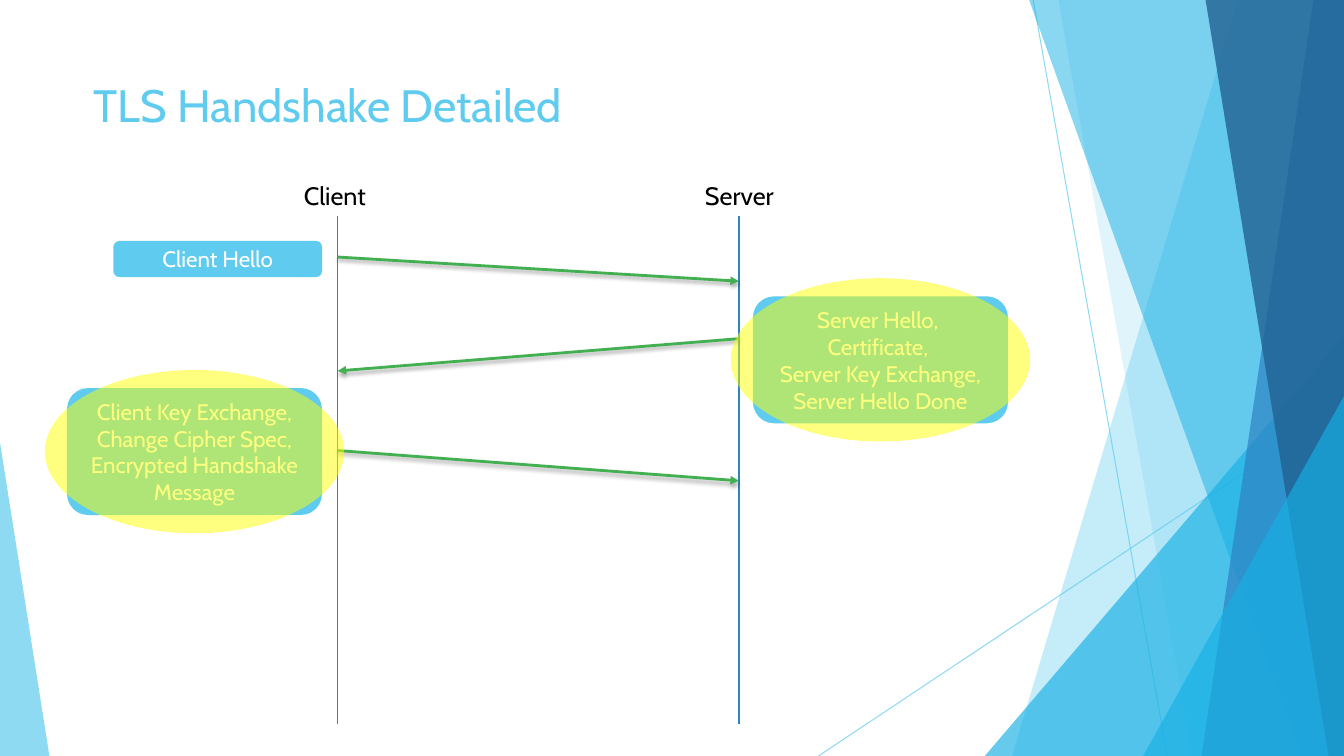
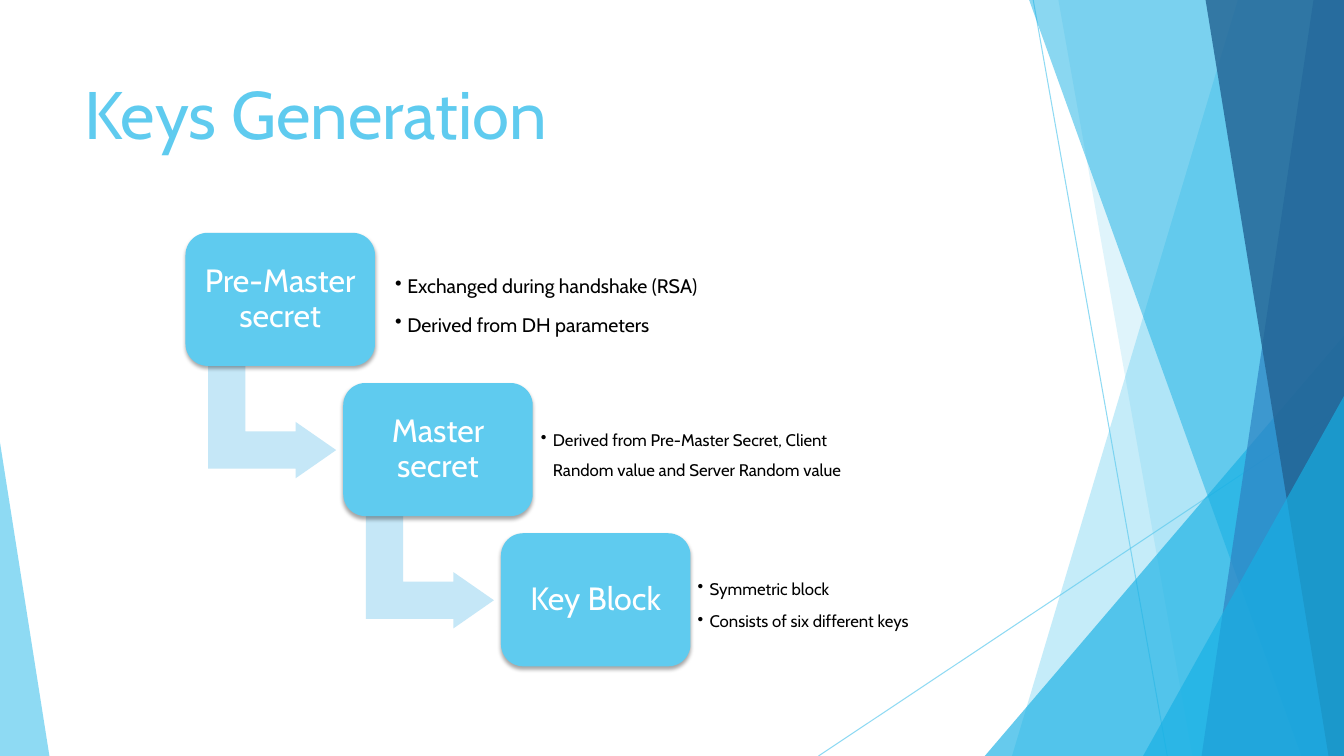
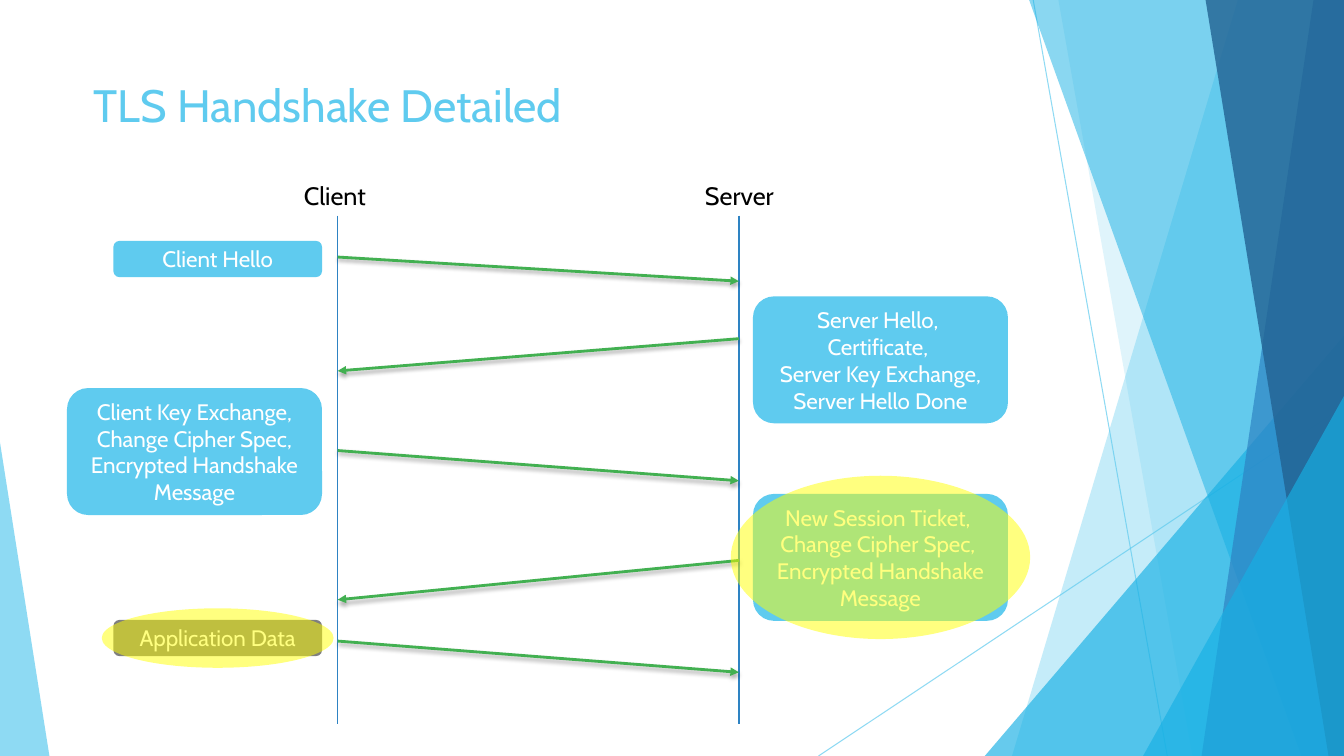
from dataclasses import dataclass
from typing import Any

from lxml import etree
from pptx import Presentation
from pptx.dml.color import RGBColor
from pptx.enum.shapes import MSO_CONNECTOR, MSO_SHAPE
from pptx.enum.text import MSO_ANCHOR, PP_ALIGN
from pptx.oxml.ns import qn
from pptx.presentation import Presentation as Deck
from pptx.shapes.autoshape import Shape
from pptx.shapes.connector import Connector
from pptx.slide import Slide
from pptx.text.text import TextFrame
from pptx.util import Emu, Inches, Pt

ROUND, ELLIPSE = MSO_SHAPE.ROUNDED_RECTANGLE, MSO_SHAPE.OVAL
TRIANGLE, BENT_ARROW = MSO_SHAPE.ISOSCELES_TRIANGLE, MSO_SHAPE.BENT_UP_ARROW
STRAIGHT = MSO_CONNECTOR.STRAIGHT
LEFT, CENTER = PP_ALIGN.LEFT, PP_ALIGN.CENTER
TOP, MIDDLE = MSO_ANCHOR.TOP, MSO_ANCHOR.MIDDLE

SKY = RGBColor(0x5F, 0xCB, 0xEF)
CYAN = RGBColor(0x17, 0xB0, 0xE4)
BLUE = RGBColor(0x2E, 0x83, 0xC3)
NAVY = RGBColor(0x22, 0x62, 0x92)
PALE = RGBColor(0xC5, 0xE7, 0xF7)
GREEN = RGBColor(0x42, 0xB0, 0x51)
YELLOW = RGBColor(0xFF, 0xFF, 0x00)
BLACK = RGBColor(0, 0, 0)
WHITE = RGBColor(0xFF, 0xFF, 0xFF)

FONT = "Cabin"
COLS, ROWS = 133.33, 75  # grid cells of a tenth of an inch


def grid(cells: float) -> Emu:
    return Inches(cells / 10)


@dataclass(frozen=True)
class Box:
    """A frame in grid columns and rows."""
    x: float
    y: float
    w: float
    h: float

    def emu(self) -> tuple[Emu, Emu, Emu, Emu]:
        return grid(self.x), grid(self.y), grid(self.w), grid(self.h)

    def grown(self, dx: float, dy: float) -> "Box":
        return Box(self.x - dx, self.y - dy, self.w + 2 * dx, self.h + 2 * dy)


@dataclass(frozen=True)
class Band:
    """A band from a slanted left edge to the right side of the slide."""
    top_x: float
    bottom_x: float
    color: RGBColor
    alpha: int


@dataclass(frozen=True)
class Corner:
    """A right-angled triangle; apex is 0 for left and 1 for right."""
    box: Box
    apex: float
    color: RGBColor
    alpha: int


@dataclass(frozen=True)
class BoxSize:
    w: float
    h: float
    halo_x: float
    halo_y: float


@dataclass(frozen=True)
class Message:
    paragraphs: tuple[str, ...]
    size: BoxSize
    top: float
    sent: float
    received: float
    from_client: bool
    color: RGBColor = SKY
    alpha: int = 100

    @property
    def box(self) -> Box:
        x = CLIENT_BOX_RIGHT - self.size.w if self.from_client else SERVER_BOX_LEFT
        return Box(x, self.top, self.size.w, self.size.h)


@dataclass(frozen=True)
class Step:
    name: str
    details: tuple[str, ...]
    gap: float
    width: float
    size: int
    inset: float


BACKDROP: list[Band | Corner] = [
    Band(122.8, 100.4, SKY, 36),
    Band(105, 118.3, SKY, 20),
    Corner(Box(97.7, 33.3, 35.63, 41.7), 1, CYAN, 66),
    Band(102.1, 129.1, CYAN, 50),
    Band(130.3, 119.2, BLUE, 70),
    Band(119.6, 131.8, NAVY, 80),
    Corner(Box(113.4, 39.3, 19.93, 35.7), 1, CYAN, 66),
    Corner(Box(0, 43.9, 4.9, 31.1), 0, SKY, 70),
]
HAIRLINES = [(102.5, 0, 115.8, ROWS), (COLS, 40.3, 81.2, ROWS)]

CLIENT_X, SERVER_X = 33.5, 73.3
CLIENT_BOX_RIGHT, SERVER_BOX_LEFT = 31.95, 74.7
LIFELINE_TOP, LIFELINE_BOTTOM = 21.4, 71.8
TALL = BoxSize(25.3, 12.6, 2.2, 1.8)
SHORT = BoxSize(20.7, 3.6, 1.15, 1.15)

MESSAGES = [
    Message(("Client Hello",), SHORT, 23.9, 25.5, 27.9, True),
    Message(("Server Hello, ", "Certificate, ",
             "Server Key Exchange,\nServer Hello Done"),
            TALL, 29.4, 33.6, 36.8, False),
    Message(("Client Key Exchange,",
             "Change Cipher Spec,\nEncrypted Handshake Message"),
            TALL, 38.5, 44.7, 47.7, True),
    Message(("New Session Ticket, ",
             "Change Cipher Spec, \nEncrypted Handshake Message"),
            TALL, 49, 55.6, 59.5, False),
    Message(("Application Data",), SHORT, 61.5, 63.6, 66.7, True, BLACK, 50),
]

STEP_X, STEP_Y = 15.65, 14.9
FIRST_STEP = Box(18.4, 23.1, 18.8, 13.2)
STEPS = [
    Step("Pre-Master secret",
         ("Exchanged during handshake (RSA)", "Derived from DH parameters"),
         1.3, 35.1, 14, 0.7),
    Step("Master secret",
         ("Derived from Pre-Master Secret, Client Random value "
          "and Server Random value",),
         0.3, 32.5, 12, 0.5),
    Step("Key Block", ("Symmetric block", "Consists of six different keys"),
         0.2, 22.1, 12, 0.5),
]


def set_all(target: Any, values: dict[str, Any]) -> None:
    for name, value in values.items():
        setattr(target, name, value)


def set_alpha(sp: Shape | Connector, percent: int) -> None:
    if percent < 100:
        for color in sp.element.spPr.iter(qn("a:srgbClr")):
            etree.SubElement(color, qn("a:alpha"), val=str(percent * 1000))


def set_effects(sp: Shape | Connector, shadow: bool) -> None:
    """Replace the theme's shadow by a soft one below, or by none."""
    effects = etree.SubElement(sp.element.spPr, qn("a:effectLst"))
    if shadow:
        outer = etree.SubElement(effects, qn("a:outerShdw"), blurRad=str(Pt(3)),
                                 dist=str(Pt(2)), dir="5400000", rotWithShape="0")
        color = etree.SubElement(outer, qn("a:srgbClr"), val=str(BLACK))
        etree.SubElement(color, qn("a:alpha"), val="35000")


def paint(sp: Shape, color: RGBColor, alpha: int = 100, shadow: bool = False) -> None:
    sp.fill.solid()
    sp.fill.fore_color.rgb = color
    sp.line.fill.background()
    set_alpha(sp, alpha)
    set_effects(sp, shadow)


def add_line(s: Slide, x1: float, y1: float, x2: float, y2: float, color: RGBColor,
             width: float, alpha: int = 100, arrow: bool = False) -> None:
    """Draw a line; an arrow also gets a head and a shadow."""
    line = s.shapes.add_connector(STRAIGHT, grid(x1), grid(y1), grid(x2), grid(y2))
    line.line.color.rgb = color
    line.line.width = Pt(width)
    set_alpha(line, alpha)
    if arrow:
        ln = line.element.spPr.find(qn("a:ln"))
        etree.SubElement(ln, qn("a:tailEnd"), type="triangle")
    set_effects(line, arrow)


def write(tf: TextFrame, paragraphs: tuple[str, ...], size: float, color: RGBColor,
          anchor: MSO_ANCHOR = TOP, inset: float | None = None, bullet: bool = False,
          **paragraph_format: Any) -> None:
    set_all(tf, {"word_wrap": True, "vertical_anchor": anchor})
    if inset is not None:
        sides = ("left", "top", "right", "bottom")
        set_all(tf, {f"margin_{side}": grid(inset) for side in sides})
    for i, text in enumerate(paragraphs):
        p = tf.add_paragraph() if i else tf.paragraphs[0]
        p.text = text
        if bullet:
            pPr = p._p.get_or_add_pPr()
            pPr.set("marL", str(grid(1.2)))
            pPr.set("indent", str(grid(-1.2)))
            etree.SubElement(pPr, qn("a:buChar"), char="•")
        set_all(p, paragraph_format)
        for r in p.runs:
            set_all(r.font, {"name": FONT, "size": Pt(size)})
            r.font.color.rgb = color


def add_text(s: Slide, box: Box, paragraphs: tuple[str, ...], size: float,
             color: RGBColor, **text_format: Any) -> None:
    sp = s.shapes.add_textbox(*box.emu())
    write(sp.text_frame, paragraphs, size, color, **text_format)


def add_backdrop(s: Slide) -> None:
    for ends in HAIRLINES:
        add_line(s, *ends, SKY, 0.75, 70)
    for part in BACKDROP:
        if isinstance(part, Band):
            right, bottom = grid(COLS), grid(ROWS)
            outline = s.shapes.build_freeform(grid(part.top_x), 0)
            outline.add_line_segments(
                [(right, 0), (right, bottom), (grid(part.bottom_x), bottom)])
            sp = outline.convert_to_shape()
        else:
            sp = s.shapes.add_shape(TRIANGLE, *part.box.emu())
            sp.adjustments[0] = part.apex
        paint(sp, part.color, part.alpha)


def add_slide(prs: Deck, title: str, box: Box, size: float) -> Slide:
    s = prs.slides.add_slide(prs.slide_layouts[6])
    add_backdrop(s)
    add_text(s, box, (title,), size, SKY, alignment=LEFT)
    return s


def add_message(s: Slide, message: Message) -> None:
    ends = (CLIENT_X, SERVER_X) if message.from_client else (SERVER_X, CLIENT_X)
    add_line(s, ends[0], message.sent, ends[1], message.received, GREEN, 2, arrow=True)
    sp = s.shapes.add_shape(ROUND, *message.box.emu())
    paint(sp, message.color, message.alpha)
    write(sp.text_frame, message.paragraphs, 16, WHITE, MIDDLE, alignment=CENTER)


def add_handshake(prs: Deck, messages: list[Message],
                  highlighted: list[Message]) -> None:
    s = add_slide(prs, "TLS Handshake Detailed", Box(8.3, 7.2, 59.7, 5.9), 32.4)
    for name, x in (("Client", CLIENT_X), ("Server", SERVER_X)):
        add_line(s, x, LIFELINE_TOP, x, LIFELINE_BOTTOM, BLUE, 1)
        add_text(s, Box(x - 4.35, 17.4, 11.2, 4), (name,), 18, BLACK)
    for message in messages:
        add_message(s, message)
    for message in highlighted:
        halo = message.box.grown(message.size.halo_x, message.size.halo_y)
        paint(s.shapes.add_shape(ELLIPSE, *halo.emu()), YELLOW, 50)


def add_step(s: Slide, index: int, step: Step) -> None:
    first = FIRST_STEP
    box = Box(first.x + index * STEP_X, first.y + index * STEP_Y, first.w, first.h)
    if index < len(STEPS) - 1:
        arrow = s.shapes.add_shape(
            BENT_ARROW, *Box(box.x + 3, box.y + 12.4, 11.2, 12.7).emu())
        arrow.rotation = 90
        for i, share in enumerate((0.33, 0.25, 0.36)):
            arrow.adjustments[i] = share
        paint(arrow, PALE)
    sp = s.shapes.add_shape(ROUND, *box.emu())
    paint(sp, SKY, shadow=True)
    write(sp.text_frame, (step.name,), 23, WHITE, MIDDLE, 1,
          alignment=CENTER, line_spacing=0.9)
    details = Box(box.x + box.w + step.gap, box.y + 1.3, step.width, 10.6)
    add_text(s, details, step.details, step.size, BLACK, anchor=MIDDLE,
             inset=step.inset, bullet=True, line_spacing=1.5,
             space_after=Pt(0.15 * step.size))


def add_key_generation(prs: Deck) -> None:
    s = add_slide(prs, "Keys Generation", Box(7.4, 6.7, 94, 14.4), 48)
    for index, step in enumerate(STEPS):
        add_step(s, index, step)


def main() -> None:
    prs = Presentation()
    set_all(prs, {"slide_width": grid(COLS), "slide_height": grid(ROWS)})
    add_handshake(prs, MESSAGES[:3], MESSAGES[1:3])
    add_key_generation(prs)
    add_handshake(prs, MESSAGES, MESSAGES[3:])
    prs.save("out.pptx")


if __name__ == "__main__":
    main()
